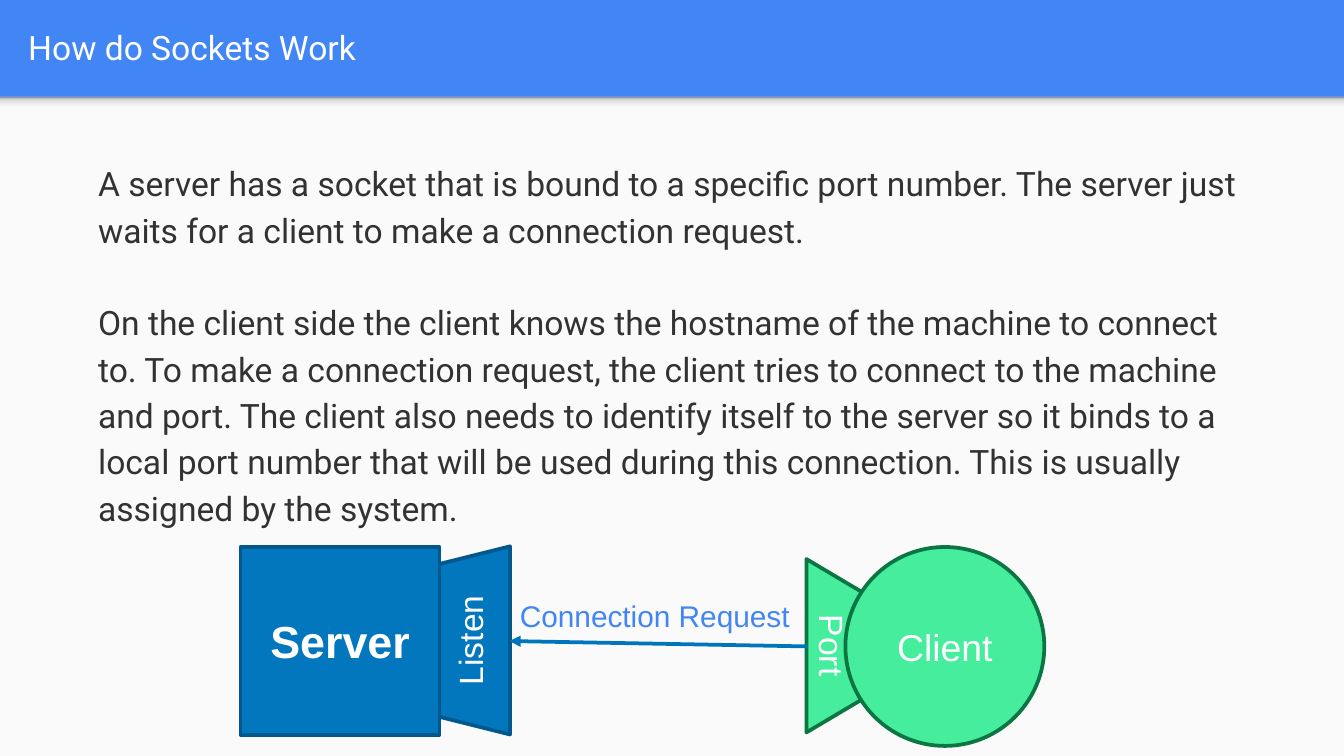
from dataclasses import dataclass

from lxml import etree
from pptx import Presentation
from pptx.dml.color import RGBColor
from pptx.enum.shapes import MSO_CONNECTOR, MSO_SHAPE
from pptx.enum.text import MSO_ANCHOR, MSO_AUTO_SIZE, PP_ALIGN
from pptx.oxml.ns import qn
from pptx.util import Inches, Pt

RECTANGLE, OVAL, TRAPEZOID = MSO_SHAPE.RECTANGLE, MSO_SHAPE.OVAL, MSO_SHAPE.TRAPEZOID
STRAIGHT = MSO_CONNECTOR.STRAIGHT
TOP, MIDDLE = MSO_ANCHOR.TOP, MSO_ANCHOR.MIDDLE
LEFT, CENTER = PP_ALIGN.LEFT, PP_ALIGN.CENTER
NO_AUTOFIT = MSO_AUTO_SIZE.NONE


@dataclass(frozen=True)
class Theme:
    heading_font: str = "Roboto"
    diagram_font: str = "Arial"
    accent: str = "4285F4"
    paper: str = "FAFAFA"
    white: str = "FFFFFF"
    ink: str = "323232"
    server: str = "0277BD"
    server_edge: str = "01588C"
    client: str = "46ED9C"
    client_edge: str = "0B7642"
    arrow: str = "0075BB"
    shade: tuple = ((0, "F9F9F9"), (36, "F9F9F9"), (80, "DEDEDE"), (100, "999999"))
    text_size: int = 18
    server_size: int = 24
    client_size: int = 20
    caption_size: int = 16
    line_width: int = 2


THEME = Theme()

TITLE = "How do Sockets Work"
EXPLANATION = (
    "A server has a socket that is bound to a specific port number. The server just "
    "waits for a client to make a connection request.",
    "On the client side the client knows the hostname of the machine to connect to. "
    "To make a connection request, the client tries to connect to the machine and port. "
    "The client also needs to identify itself to the server so it binds to a local port "
    "number that will be used during this connection. This is usually assigned by the system.",
)


def rgb(value):
    return RGBColor.from_string(value)


def place(shape, box):
    shape.left, shape.top, shape.width, shape.height = (Inches(v) for v in box)


def style(paragraph, name, size, color, align=LEFT, bold=False):
    paragraph.alignment = align
    font = paragraph.font
    font.name, font.size, font.bold = name, Pt(size), bold
    font.color.rgb = rgb(color)


def prepare_frame(frame, anchor):
    frame.word_wrap = True
    frame.auto_size = NO_AUTOFIT
    frame.vertical_anchor = anchor
    frame.margin_left = frame.margin_right = Inches(0.1)
    frame.margin_top = frame.margin_bottom = Inches(0.1)


def add_backdrop(slide, box):
    """Borderless rectangle that lies behind the placeholders."""
    backdrop = slide.shapes.add_shape(RECTANGLE, *(Inches(v) for v in box))
    backdrop.shadow.inherit = False
    backdrop.line.fill.background()
    slide.shapes.title._element.addprevious(backdrop._element)
    return backdrop


def shade_upwards(shape, stops):
    shape.fill.gradient()
    shape.fill.gradient_angle = 90
    stop_list = shape._element.spPr.find(qn("a:gradFill")).find(qn("a:gsLst"))
    for old_stop in list(stop_list):
        stop_list.remove(old_stop)
    for percent, color in stops:
        stop = etree.SubElement(stop_list, qn("a:gs"), pos=str(percent * 1000))
        etree.SubElement(stop, qn("a:srgbClr"), val=color)


def fill_title(slide):
    title = slide.shapes.title
    place(title, (0.11, 0.02, 9.65, 0.66))
    prepare_frame(title.text_frame, MIDDLE)
    title.text_frame.text = TITLE
    style(title.text_frame.paragraphs[0], THEME.heading_font, THEME.text_size, THEME.white)


def fill_body(slide):
    body = slide.placeholders[1]
    place(body, (0.5, 1.07, 8.99, 4.06))
    frame = body.text_frame
    prepare_frame(frame, TOP)
    frame.text = "\n".join(EXPLANATION)
    for index, paragraph in enumerate(frame.paragraphs):
        properties = paragraph._p.get_or_add_pPr()
        properties.set("marL", str(Inches(0.13)))
        properties.set("indent", "0")
        etree.SubElement(properties, qn("a:buNone"))
        paragraph.line_spacing = 1.15
        paragraph.space_before = Pt(24.8 if index else 0)
        style(paragraph, THEME.heading_font, THEME.text_size, THEME.ink)


def add_node(slide, kind, box, label, fill, edge, size, bold=False, rotation=0, slant=None):
    node = slide.shapes.add_shape(kind, *(Inches(v) for v in box))
    node.shadow.inherit = False
    node.rotation = rotation
    if slant is not None:
        node.adjustments[0] = slant
    node.fill.solid()
    node.fill.fore_color.rgb = rgb(fill)
    node.line.color.rgb = rgb(edge)
    node.line.width = Pt(THEME.line_width)
    frame = node.text_frame
    frame.word_wrap = True
    frame.vertical_anchor = MIDDLE
    frame.text = label
    style(frame.paragraphs[0], THEME.diagram_font, size, THEME.white, CENTER, bold)


def add_arrow(slide, start, end):
    arrow = slide.shapes.add_connector(STRAIGHT, *(Inches(v) for v in start + end))
    arrow.line.color.rgb = rgb(THEME.arrow)
    arrow.line.width = Pt(THEME.line_width)
    etree.SubElement(arrow.line._get_or_add_ln(), qn("a:tailEnd"), type="triangle")
    etree.SubElement(arrow._element.spPr, qn("a:effectLst"))


def add_caption(slide, box, text):
    caption = slide.shapes.add_textbox(*(Inches(v) for v in box))
    frame = caption.text_frame
    frame.word_wrap = True
    frame.text = text
    style(frame.paragraphs[0], THEME.diagram_font, THEME.caption_size, THEME.accent)


def main():
    # Widescreen 16:9 slide
    deck = Presentation()
    deck.slide_width = Inches(10)
    deck.slide_height = deck.slide_width * 9 // 16
    slide = deck.slides.add_slide(deck.slide_layouts[1])

    # Blue header band above the light page, with a soft shade under the band
    slide.background.fill.solid()
    slide.background.fill.fore_color.rgb = rgb(THEME.accent)
    page = add_backdrop(slide, (0, 0.72, 10, 4.91))
    page.fill.solid()
    page.fill.fore_color.rgb = rgb(THEME.paper)
    shade_upwards(add_backdrop(slide, (0, 0.72, 10, 0.12)), THEME.shade)

    # Title and explanation
    fill_title(slide)
    fill_body(slide)

    # Server and client, each drawn over its socket
    server = (THEME.server, THEME.server_edge)
    client = (THEME.client, THEME.client_edge)
    add_node(slide, TRAPEZOID, (5.58, 4.58, 1.29, 0.45), "Port", *client,
             THEME.text_size, rotation=90, slant=0.594)
    add_node(slide, TRAPEZOID, (2.77, 4.44, 1.4, 0.65), "Listen", *server,
             THEME.text_size, rotation=270, slant=0.25)
    add_node(slide, RECTANGLE, (1.79, 4.07, 1.48, 1.4), "Server", *server,
             THEME.server_size, bold=True)
    add_node(slide, OVAL, (6.29, 4.07, 1.48, 1.48), "Client", *client, THEME.client_size)

    # Connection request from port to listener
    add_arrow(slide, (6.01, 4.81), (3.79, 4.77))
    add_caption(slide, (3.77, 4.4, 2.27, 0.37), "Connection Request")

    deck.save("out.pptx")


if __name__ == "__main__":
    main()
